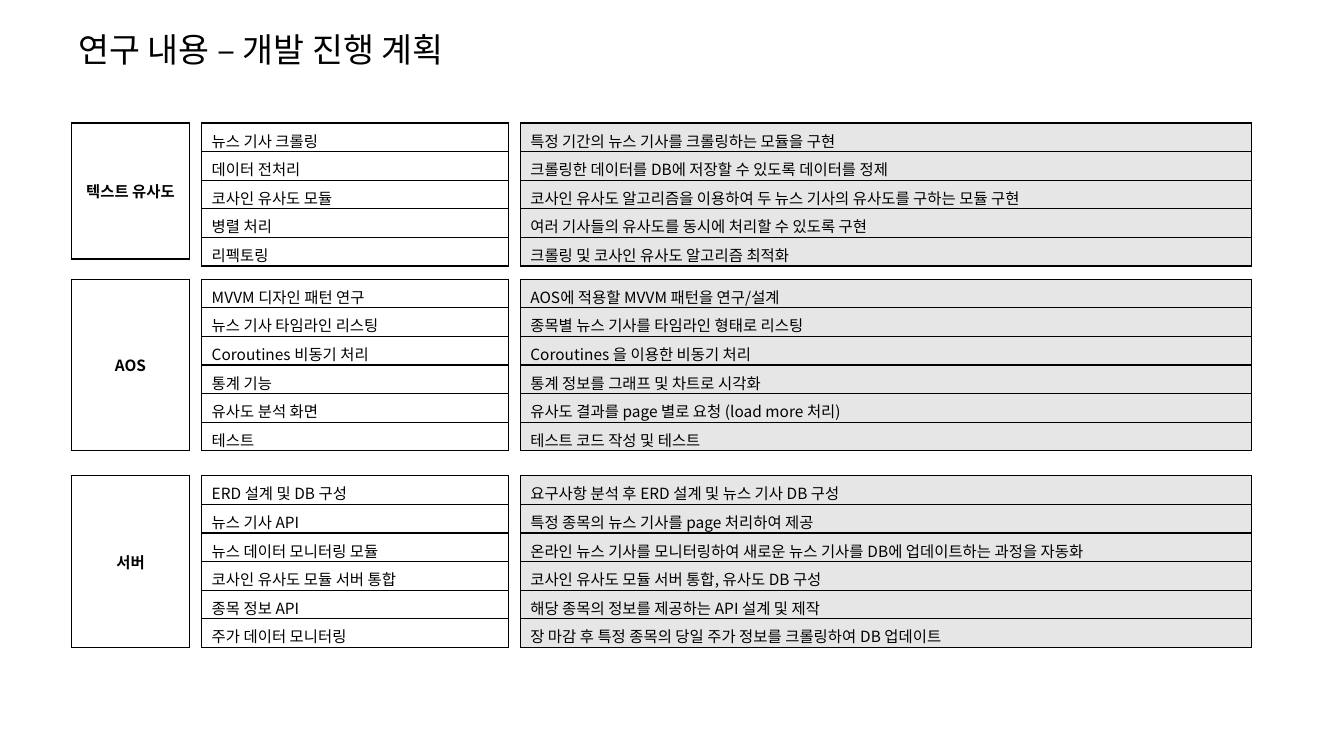
from lxml.etree import SubElement
from pptx import Presentation
from pptx.dml.color import RGBColor
from pptx.enum.text import MSO_ANCHOR, MSO_AUTO_SIZE, PP_ALIGN
from pptx.oxml.ns import qn
from pptx.util import Inches, Pt

FONT = "Noto Sans CJK KR"
COLORS = {"ink": "000000", "paper": "FFFFFF", "gray": "E7E6E6"}
ROW = 0.284


def write(frame, text, size=11, bold=False, align=PP_ALIGN.LEFT):
    """Put one formatted line of text into a frame."""
    line = frame.paragraphs[0]
    line.alignment = align
    run = line.add_run()
    run.text = text
    font = run.font
    font.size, font.bold, font.name = Pt(size), bold, FONT
    font.color.rgb = RGBColor.from_string(COLORS["ink"])
    SubElement(run._r.get_or_add_rPr(), qn("a:ea"), typeface=FONT)


class Deck:
    def __init__(self):
        self.show = Presentation()
        self.show.slide_width = Inches(13.33)
        self.show.slide_height = Inches(7.5)
        self.slide = self.show.slides.add_slide(self.show.slide_layouts[5])

    def title(self, text, left, top, width, height):
        box = self.slide.shapes.title
        box.left, box.top = Inches(left), Inches(top)
        box.width, box.height = Inches(width), Inches(height)
        frame = box.text_frame
        frame.word_wrap = True
        frame.auto_size = MSO_AUTO_SIZE.NONE
        frame.vertical_anchor = MSO_ANCHOR.MIDDLE
        write(frame, text, size=24)

    def border(self, cell):
        props = cell._tc.get_or_add_tcPr()
        for side in ("lnL", "lnR", "lnT", "lnB"):
            line = SubElement(props, qn("a:" + side), w=str(Pt(1)))
            fill = SubElement(line, qn("a:solidFill"))
            SubElement(fill, qn("a:srgbClr"), val=COLORS["ink"])

    def table(self, items, left, top, width, row=ROW, fill="paper", pad=(0.06, 0), **style):
        count = len(items)
        grid = self.slide.shapes.add_table(
            count, 1, Inches(left), Inches(top), Inches(width), Inches(row * count)
        ).table
        grid.first_row = grid.horz_banding = False
        for index, text in enumerate(items):
            grid.rows[index].height = Inches(row)
            cell = grid.cell(index, 0)
            self.border(cell)
            cell.fill.solid()
            cell.fill.fore_color.rgb = RGBColor.from_string(COLORS[fill])
            cell.vertical_anchor = MSO_ANCHOR.MIDDLE
            cell.margin_top, cell.margin_bottom = map(Inches, pad)
            write(cell.text_frame, text, **style)


# Each group: label, top, label height, pairs of task and detail
GROUPS = [
    ("텍스트 유사도", 1.22, 1.35, [
        ("뉴스 기사 크롤링", "특정 기간의 뉴스 기사를 크롤링하는 모듈을 구현"),
        ("데이터 전처리", "크롤링한 데이터를 DB에 저장할 수 있도록 데이터를 정제"),
        ("코사인 유사도 모듈", "코사인 유사도 알고리즘을 이용하여 두 뉴스 기사의 유사도를 구하는 모듈 구현"),
        ("병렬 처리", "여러 기사들의 유사도를 동시에 처리할 수 있도록 구현"),
        ("리펙토링", "크롤링 및 코사인 유사도 알고리즘 최적화"),
    ]),
    ("AOS", 2.77, 1.7, [
        ("MVVM 디자인 패턴 연구", "AOS에 적용할 MVVM 패턴을 연구/설계"),
        ("뉴스 기사 타임라인 리스팅", "종목별 뉴스 기사를 타임라인 형태로 리스팅"),
        ("Coroutines 비동기 처리", "Coroutines 을 이용한 비동기 처리"),
        ("통계 기능", "통계 정보를 그래프 및 차트로 시각화"),
        ("유사도 분석 화면", "유사도 결과를 page 별로 요청 (load more 처리)"),
        ("테스트", "테스트 코드 작성 및 테스트"),
    ]),
    ("서버", 4.72, 1.7, [
        ("ERD 설계 및 DB 구성", "요구사항 분석 후 ERD 설계 및 뉴스 기사 DB 구성"),
        ("뉴스 기사 API", "특정 종목의 뉴스 기사를 page 처리하여 제공"),
        ("뉴스 데이터 모니터링 모듈", "온라인 뉴스 기사를 모니터링하여 새로운 뉴스 기사를 DB에 업데이트하는 과정을 자동화"),
        ("코사인 유사도 모듈 서버 통합", "코사인 유사도 모듈 서버 통합, 유사도 DB 구성"),
        ("종목 정보 API", "해당 종목의 정보를 제공하는 API 설계 및 제작"),
        ("주가 데이터 모니터링", "장 마감 후 특정 종목의 당일 주가 정보를 크롤링하여 DB 업데이트"),
    ]),
]

deck = Deck()

# Title
deck.title("연구 내용 – 개발 진행 계획", 0.68, 0.24, 4.63, 0.5)

# Plan: label, tasks and details side by side
for label, top, height, pairs in GROUPS:
    tasks, details = zip(*pairs)
    deck.table([label], 0.71, top, 1.17, row=height, pad=(0.05, 0.05),
               bold=True, align=PP_ALIGN.CENTER)
    deck.table(tasks, 2, top, 3.04)
    deck.table(details, 5.16, top, 7.25, fill="gray")

deck.show.save("out.pptx")
